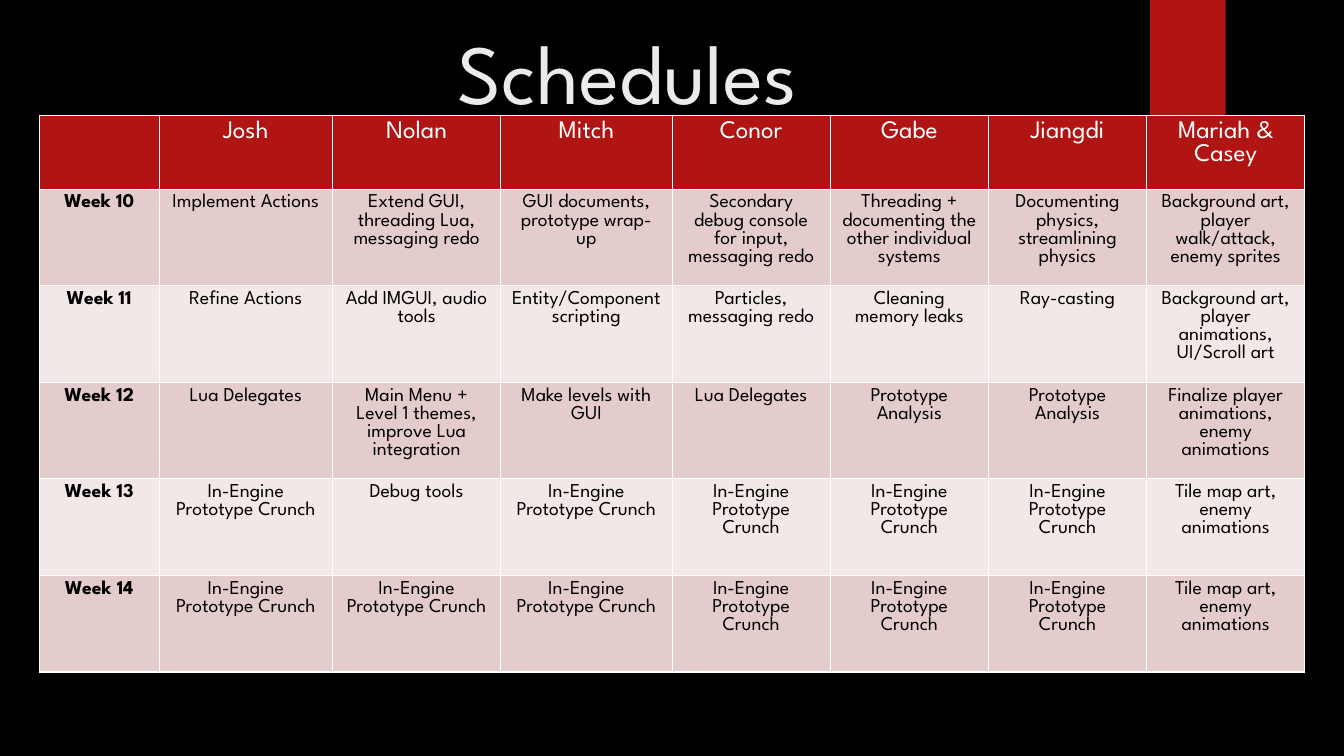
from dataclasses import dataclass
from lxml import etree
from pptx import Presentation
from pptx.dml.color import RGBColor
from pptx.enum import shapes, text
from pptx.oxml import ns
from pptx.util import Pt


@dataclass(frozen=True)
class Theme:
    font: str = "League Spartan"
    black: str = "000000"
    white: str = "FFFFFF"
    pale: str = "EBEBEB"
    red: str = "B01513"
    bands: tuple = ("E4CCCC", "F2E8E7")
    title: int = 60
    head: int = 18
    body: int = 14
    rule: int = 1


theme = Theme()
CRUNCH = "In-Engine Prototype Crunch"
STUDY = "Prototype Analysis"
TILES = "Tile map art, enemy animations"

TEAM = ["", "Josh", "Nolan", "Mitch", "Conor", "Gabe", "Jiangdi", "Mariah & Casey"]
WEEKS = [
    ["Week 10", "Implement Actions", "Extend GUI, threading Lua, messaging redo",
     "GUI documents, prototype wrap-up",
     "Secondary debug console for input, messaging redo",
     "Threading + documenting the other individual systems",
     "Documenting physics, streamlining physics",
     "Background art, player walk/attack, enemy sprites"],
    ["Week 11", "Refine Actions", "Add IMGUI, audio tools",
     "Entity/Component scripting", "Particles, messaging redo",
     "Cleaning memory leaks", "Ray-casting",
     "Background art, player animations, UI/Scroll art"],
    ["Week 12", "Lua Delegates",
     "Main Menu + Level 1 themes, improve Lua integration",
     "Make levels with GUI", "Lua Delegates", STUDY, STUDY,
     "Finalize player animations, enemy animations"],
    ["Week 13", CRUNCH, "Debug tools"] + [CRUNCH] * 4 + [TILES],
    ["Week 14"] + [CRUNCH] * 6 + [TILES],
]
WIDTHS = [85.7, 123.8, 120.2, 122.4] + [113] * 4
HEAD_HIGH, ROW_HIGH = 52.6, 69


def paint(fill, color):
    fill.solid()
    fill.fore_color.rgb = RGBColor.from_string(color)


def write(frame, words, size, color, bold=False):
    frame.text = words
    line = frame.paragraphs[0]
    line.alignment = text.PP_ALIGN.CENTER
    for font in [line.font] + [run.font for run in line.runs]:
        font.name, font.size, font.bold = theme.font, Pt(size), bold
        font.color.rgb = RGBColor.from_string(color)


def edge(cell):
    """Draw thin white rules on all four sides."""
    props = cell._tc.get_or_add_tcPr()
    for side in "LRTB":
        rule = etree.SubElement(props, ns.qn("a:ln" + side), w=str(Pt(theme.rule)))
        fill = etree.SubElement(rule, ns.qn("a:solidFill"))
        etree.SubElement(fill, ns.qn("a:srgbClr"), val=theme.white)


def add_tab(slide, box):
    tab = slide.shapes.add_shape(shapes.MSO_SHAPE.RECTANGLE, *map(Pt, box))
    tab.shadow.inherit = False
    paint(tab.fill, theme.red)
    tab.line.fill.background()


def add_title(slide, box):
    title = slide.shapes.title
    title.left, title.top, title.width, title.height = map(Pt, box)
    frame = title.text_frame
    frame.auto_size = text.MSO_AUTO_SIZE.NONE
    frame.vertical_anchor = text.MSO_ANCHOR.BOTTOM
    frame.margin_bottom = Pt(7.2)
    write(frame, "Schedules", theme.title, theme.pale)


def add_grid(slide, box):
    rows = [TEAM] + WEEKS
    table = slide.shapes.add_table(len(rows), len(TEAM), *map(Pt, box)).table
    for col, width in zip(table.columns, WIDTHS):
        col.width = Pt(width)
    for r, row in enumerate(rows):
        table.rows[r].height = Pt(ROW_HIGH if r else HEAD_HIGH)
        for c, words in enumerate(row):
            cell = table.cell(r, c)
            edge(cell)
            if r == 0:
                paint(cell.fill, theme.red)
                write(cell.text_frame, words, theme.head, theme.white)
            else:
                paint(cell.fill, theme.bands[(r - 1) % 2])
                write(cell.text_frame, words, theme.body, theme.black, c == 0)


deck = Presentation()
deck.slide_width, deck.slide_height = Pt(960), Pt(540)
slide = deck.slides.add_slide(deck.slide_layouts[5])
paint(slide.background.fill, theme.black)

# Red tab, heading and weekly table
add_tab(slide, (821.5, 0, 54, 90))
add_title(slide, (77.8, 10, 740.9, 83.5))
add_grid(slide, (28, 82.5, sum(WIDTHS), HEAD_HIGH + ROW_HIGH * len(WEEKS)))

deck.save("out.pptx")
